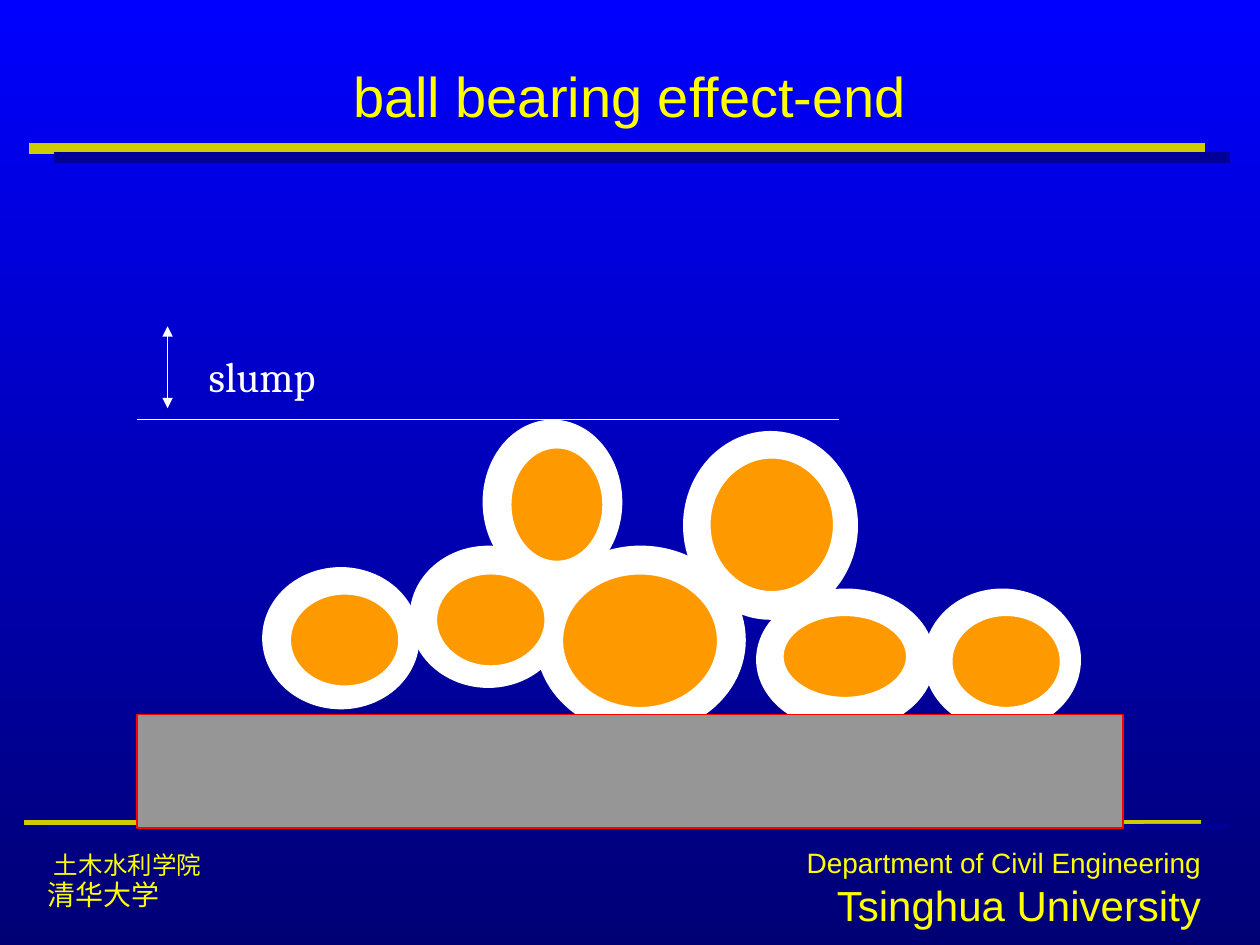
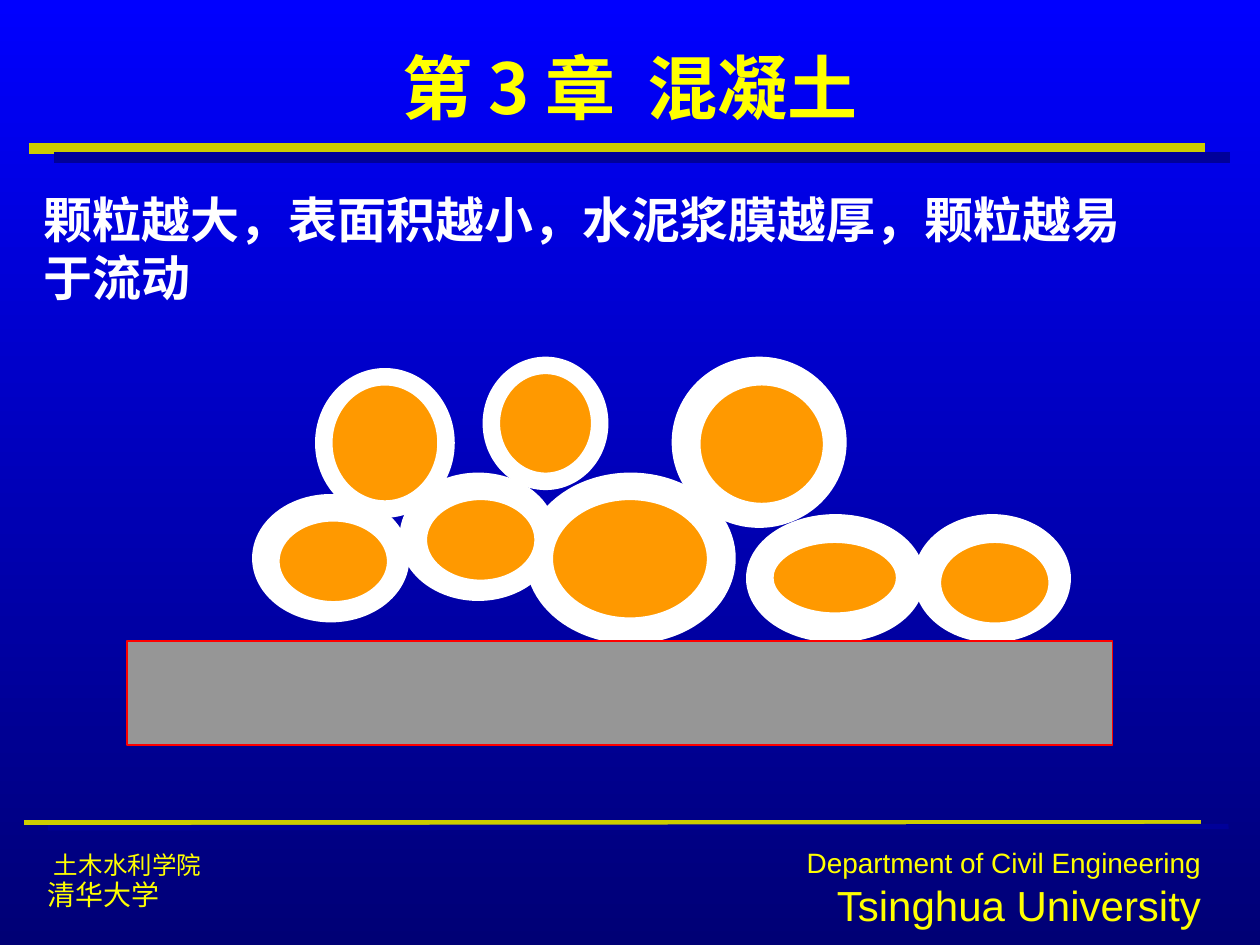
import pptx
import pptx.util
import pptx.dml.color
import pptx.enum.shapes
import pptx.enum.text
import pptx.oxml
import pptx.oxml.ns
from lxml import etree

Inches = pptx.util.Inches
Pt = pptx.util.Pt
Align = pptx.enum.text.PP_ALIGN
Anchor = pptx.enum.text.MSO_ANCHOR
Shape = pptx.enum.shapes.MSO_SHAPE

THEME = {
    "sky": "0000FF", "depth": "000075", "heading": "FFFF00", "rule": "CCCC00",
    "rule_shade": "000099", "paste": "FFFFFF", "stone": "FF9900",
    "ground": "969696", "ground_edge": "FF0000", "text": "FFFFFF",
    "latin": "Arial", "chinese": "Noto Sans CJK SC", "label": "Cambria",
    "body": "Times New Roman",
    "title_size": 32, "chapter_size": 40, "body_size": 28, "label_size": 24,
    "university_size": 24, "school_size": 16, "faculty_size": 14,
    "rule_width": 6, "footer_width": 3, "thin": 1, "film": 10,
}

RULES = [
    ((0.23, 1.18), (9.56, 1.18), "rule", "rule_width"),
    ((0.43, 1.25), (9.76, 1.25), "rule_shade", "rule_width"),
    ((0.19, 6.53), (9.53, 6.53), "rule", "footer_width"),
    ((0.38, 6.57), (9.75, 6.56), "rule_shade", "footer_width"),
]
TITLE_BOX = (0.75, 0.39, 8.5, 0.68)
FOOTERS = [
    {"place": (0.28, 6.68, 3.98, 0.6), "leading": 18, "indent": 0.05,
     "lines": [("土木水利学院", "faculty_size"), ("清华大学", "school_size")]},
    {"place": (5.65, 6.66, 3.98, 0.77), "align": Align.RIGHT,
     "lines": [("Department of Civil Engineering", "school_size"),
               ("Tsinghua University", "university_size")]},
]

SLIDES = [
    {
        "title": {"lines": [("ball bearing effect-end", "title_size")]},
        "stones": [
            (4.32, 4.4, 1.53, 1.36), (3.32, 4.4, 1.11, 0.99),
            (3.9, 3.4, 0.97, 1.17), (5.49, 3.49, 1.25, 1.36),
            (6.07, 4.74, 1.28, 0.99), (6.15, 4.82, 1.11, 0.78),
            (4.4, 4.49, 1.36, 1.19), (3.4, 4.49, 0.99, 0.86),
            (3.99, 3.49, 0.86, 1.03), (5.57, 3.57, 1.11, 1.19),
            (7.4, 4.74, 1.11, 0.99), (7.49, 4.82, 0.99, 0.86),
            (2.15, 4.57, 1.11, 0.99), (2.24, 4.65, 0.99, 0.86),
        ],
        "ground": (1.09, 5.67, 7.82, 0.9),
        "lines": [((1.33, 2.59), (1.33, 3.24), True),
                  ((1.09, 3.33), (6.66, 3.33), False)],
        "text": {"place": (1.49, 2.73, 1.18, 0.5), "font": "label",
                 "align": Align.CENTER, "anchor": Anchor.TOP, "wrap": False,
                 "lines": [("slump", "label_size")]},
    },
    {
        "title": {"lines": [("第 3 章  混凝土", "chapter_size")],
                  "font": "chinese", "bold": True},
        "stones": [
            (4.24, 3.82, 1.53, 1.22), (3.24, 3.82, 1.11, 0.88),
            (2.57, 2.99, 0.97, 1.05), (5.4, 2.9, 1.25, 1.22),
            (5.99, 4.15, 1.28, 0.88), (6.07, 4.24, 1.11, 0.69),
            (4.32, 3.9, 1.36, 1.07), (3.32, 3.9, 0.99, 0.77),
            (3.9, 2.9, 0.86, 0.92), (5.49, 2.99, 1.11, 1.07),
            (7.32, 4.15, 1.11, 0.88), (7.4, 4.24, 0.99, 0.77),
            (2.07, 3.99, 1.11, 0.88), (2.15, 4.07, 0.99, 0.77),
        ],
        "ground": (1.01, 5.09, 7.82, 0.82),
        "lines": [],
        "text": {"place": (0.25, 1.45, 8.92, 1.04), "font": "body", "bold": True,
                 "leading": 33,
                 "lines": [("颗粒越大，表面积越小，水泥浆膜越厚，颗粒越易于流动",
                            "body_size")]},
    },
]


def color(name):
    return pptx.dml.color.RGBColor.from_string(THEME[name])


def apply(target, values):
    for name, value in values.items():
        setattr(target, name, value)


def add_background(page):
    fill = page.background.fill
    fill.gradient()
    fill.gradient_angle = 270
    for stop, name, position in zip(fill.gradient_stops, ("sky", "depth"), (0, 1)):
        stop.color.rgb = color(name)
        stop.position = position


def add_line(page, start, end, name, width, arrows=False):
    line = page.shapes.add_connector(
        pptx.enum.shapes.MSO_CONNECTOR.STRAIGHT,
        *[Inches(value) for value in start + end])
    line.line.color.rgb = color(name)
    line.line.width = Pt(THEME[width])
    if arrows:
        outline = line.line._get_or_add_ln()
        for tag in ("a:headEnd", "a:tailEnd"):
            etree.SubElement(outline, pptx.oxml.ns.qn(tag), type="triangle")
    etree.SubElement(line._element.spPr, pptx.oxml.ns.qn("a:effectLst"))


def add_solid(page, kind, place, fill, edge, width):
    solid = page.shapes.add_shape(kind, *[Inches(value) for value in place])
    solid.shadow.inherit = False
    solid.fill.solid()
    solid.fill.fore_color.rgb = color(fill)
    solid.line.color.rgb = color(edge)
    solid.line.width = Pt(THEME[width])


def add_text(page, place, lines, shade="heading", font="latin", bold=False,
             align=Align.LEFT, anchor=Anchor.MIDDLE, wrap=True, leading=None,
             indent=0):
    box = page.shapes.add_textbox(*[Inches(value) for value in place])
    frame = box.text_frame
    apply(frame, {"word_wrap": wrap, "vertical_anchor": anchor})
    for index, (words, size) in enumerate(lines):
        para = frame.add_paragraph() if index else frame.paragraphs[0]
        para.alignment = align
        if leading:
            para.line_spacing = Pt(leading)
        if indent and index == 0:
            para._p.get_or_add_pPr().set("marL", str(Inches(indent)))
        span = para.add_run()
        span.text = words
        apply(span.font, {"name": THEME[font], "size": Pt(THEME[size]), "bold": bold})
        span.font.color.rgb = color(shade)


def add_frame(page, title):
    add_background(page)
    for rule in RULES:
        add_line(page, *rule)
    for footer in FOOTERS:
        add_text(page, **footer)
    add_text(page, TITLE_BOX, align=Align.CENTER, anchor=Anchor.BOTTOM, **title)


def main():
    deck = pptx.Presentation()
    deck.slide_width, deck.slide_height = Inches(10), Inches(7.5)
    for content in SLIDES:
        page = deck.slides.add_slide(deck.slide_layouts[6])
        add_frame(page, content["title"])
        for stone in content["stones"]:
            add_solid(page, Shape.OVAL, stone, "stone", "paste", "film")
        add_solid(page, Shape.RECTANGLE, content["ground"], "ground",
                  "ground_edge", "thin")
        for start, end, arrows in content["lines"]:
            add_line(page, start, end, "text", "thin", arrows)
        add_text(page, shade="text", **content["text"])
    deck.save("out.pptx")


if __name__ == "__main__":
    main()
